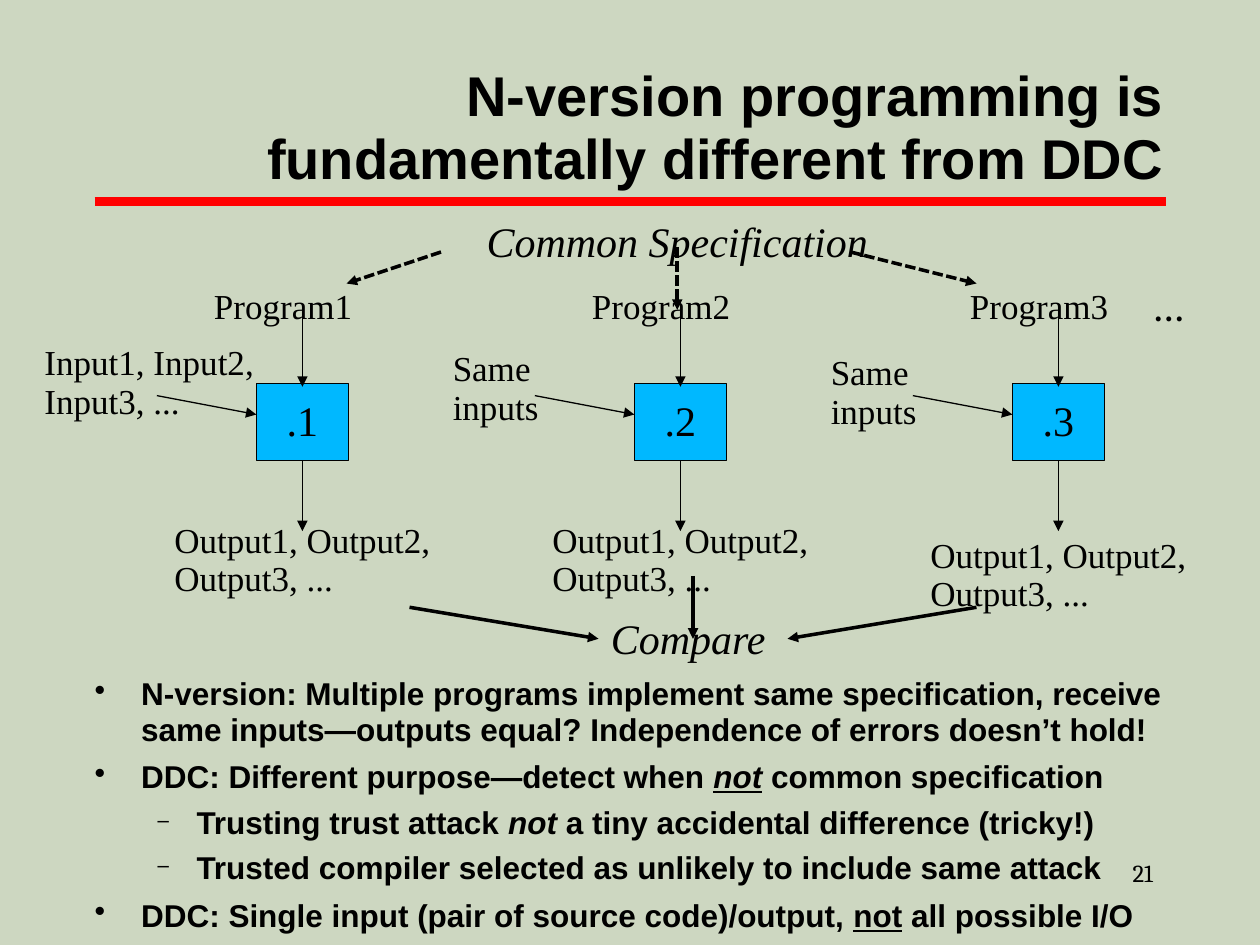
import pptx
import pptx.util
import pptx.dml.color
import pptx.enum.dml
import pptx.enum.shapes
import pptx.enum.text
import pptx.oxml.ns
from lxml import etree

COLORS = {"bg": "CDD7C1", "rule": "FF0000", "box": "00B8FF", "ink": "000000"}
SERIF, SANS = "Times New Roman", "Arial"
ALIGN = pptx.enum.text.PP_ALIGN
ANCHOR = pptx.enum.text.MSO_ANCHOR
DASH = pptx.enum.dml.MSO_LINE.SQUARE_DOT
CELL = 0.25      # grid of 40 columns by 30 rows, in inches
PITCH = 12       # columns from one program to the next
INSET = (0.4, 0.2)


def grid(n):
    return pptx.util.Inches(n * CELL)


def rgb(name):
    return pptx.dml.color.RGBColor.from_string(COLORS[name])


def sub(parent, tag, **attrs):
    return etree.SubElement(parent, pptx.oxml.ns.qn(tag), attrs)


def style(p, size, font=SERIF, align=ALIGN.LEFT, spacing=0.92, bold=False, italic=False):
    p.alignment, p.line_spacing = align, spacing
    f = p.font
    f.name, f.size, f.bold, f.italic = font, pptx.util.Pt(size), bold, italic
    f.color.rgb = rgb("ink")


def frame(tf, inset=(0, 0), anchor=ANCHOR.TOP, wrap=True):
    tf.margin_left = tf.margin_right = grid(inset[0])
    tf.margin_top = tf.margin_bottom = grid(inset[1])
    tf.vertical_anchor, tf.word_wrap = anchor, wrap


def label(s, box, lines, size=20, inset=INSET, anchor=ANCHOR.TOP, wrap=True, **kw):
    sp = s.shapes.add_textbox(*map(grid, box))
    tf = sp.text_frame
    frame(tf, inset, anchor, wrap)
    tf.text = lines
    for p in tf.paragraphs:
        style(p, size, **kw)
    return sp


def line(s, start, end, width=0.75, color="ink", dash=None, arrow=True):
    c = s.shapes.add_connector(pptx.enum.shapes.MSO_CONNECTOR.STRAIGHT,
                               *map(grid, (*start, *end)))
    c.line.color.rgb = rgb(color)
    c.line.width = pptx.util.Pt(width)
    if dash:
        c.line.dash_style = dash
    if arrow:
        sub(c.line._get_or_add_ln(), "a:tailEnd", type="triangle")
    sub(c._element.spPr, "a:effectLst")


def header(s, box):
    x, y, w, h = box
    label(s, (x + 0.32, y, w - 0.36, h),
          "N-version programming is fundamentally different from DDC", 32,
          inset=(0, 0), anchor=ANCHOR.MIDDLE, font=SANS, align=ALIGN.RIGHT,
          spacing=0.93, bold=True)
    line(s, (x, 6.4), (x + w, 6.4), 5, "rule", arrow=False)


def program(s, box, number, inputs, input_box, output_row):
    x, y, w, h = box
    top = y + 3.2
    # Executable
    sp = s.shapes.add_shape(pptx.enum.shapes.MSO_SHAPE.RECTANGLE,
                            *map(grid, (x, top, w, h)))
    sp.shadow.inherit = False
    sp.fill.solid()
    sp.fill.fore_color.rgb = rgb("box")
    sp.line.color.rgb = rgb("ink")
    sp.line.width = pptx.util.Pt(0.75)
    frame(sp.text_frame, anchor=ANCHOR.MIDDLE)
    p = sp.text_frame.paragraphs[0]
    p.text = f".{number}"
    style(p, 24, align=ALIGN.CENTER, spacing=0.93)
    # Arrows out, in from the program, in from the inputs
    mid = x + w / 2
    line(s, (mid, top + h), (mid, y + 7.88))
    line(s, (mid, y + 1.08), (mid, top + 0.1))
    line(s, (x - 3.16, top + 0.38), (x, top + 0.98))
    # Labels
    dx, dy, width = input_box
    label(s, (x + dx, y + dy, width, 2.84), inputs, wrap=False)
    label(s, (x - 1.74, y, 6.56, 2.04), f"Program{number}")
    label(s, (x - 3, y + output_row, 10, 2.84), "Output1, Output2,\nOutput3, ...")


def specification(s, box):
    x, y, w, h = box
    label(s, box, "Common Specification", 24, align=ALIGN.CENTER, italic=True)
    for start, end in [((x, 8), (x - 3, 9)),
                       ((x + w - 2, 8), (x + w + 2, 9)),
                       ((x + w / 2, 7.84), (x + w / 2, 9.84))]:
        line(s, start, end, 0, dash=DASH)


def comparison(s, box):
    x, y, w, h = box
    label(s, box, "Compare", 24, wrap=False, italic=True)
    for start, end in [((x - 6, 19.28), (x, 20.28)),
                       ((x + 3, 18.28), (x + 3, 20.28)),
                       ((x + 12, 19.28), (x + 6, 20.28))]:
        line(s, start, end, 0)


def bullets(s, box, items):
    tf = s.shapes.add_textbox(*map(grid, box)).text_frame
    frame(tf)
    for i, (level, parts) in enumerate(items):
        p = tf.paragraphs[0] if i == 0 else tf.add_paragraph()
        p.level = level
        indent, hang, char, size, before = [(0.37, 0.37, "•", "100000", 7),
                                            (0.81, 0.31, "–", "65000", 6)][level]
        pPr = p._p.get_or_add_pPr()
        pPr.set("marL", str(pptx.util.Inches(indent)))
        pPr.set("indent", str(-pptx.util.Inches(hang)))
        sub(sub(pPr, "a:buClr"), "a:srgbClr", val=COLORS["ink"])
        sub(pPr, "a:buSzPct", val=size)
        sub(pPr, "a:buChar", char=char)
        if i:
            p.space_before = pptx.util.Pt(before)
        style(p, 18, SANS, spacing=0.93, bold=True)
        for text, marks in parts:
            r = p.add_run()
            r.text = text
            if "i" in marks:
                r.font.italic = True
            if "u" in marks:
                r.font.underline = True


def main():
    prs = pptx.Presentation()
    prs.slide_width, prs.slide_height = grid(40), grid(30)
    s = prs.slides.add_slide(prs.slide_layouts[6])
    s.background.fill.solid()
    s.background.fill.fore_color.rgb = rgb("bg")

    header(s, (3, 2.12, 34, 3.96))
    label(s, (30.32, 27.32, 6.68, 1.04), "21", 14, font="Cambria",
          align=ALIGN.RIGHT, spacing=0.67)

    # Inputs with their offset and width, and the row of the outputs
    programs = [("Input1, Input2,\nInput3, ...", (-7.12, 1.76, 7.48), 7.4),
                ("Same\ninputs", (-6.16, 1.96, 3.52), 7.4),
                ("Same\ninputs", (-6.16, 2.08, 3.52), 7.88)]
    for i, parts in enumerate(programs):
        program(s, (8.14 + i * PITCH, 8.98, 2.92, 2.44), i + 1, *parts)
    label(s, (36.2, 9.28, 1.8, 2.16), "...", 24).rotation = 180

    specification(s, (14, 6.8, 15, 2.04))
    comparison(s, (19, 19.4, 5.76, 1.88))
    bullets(s, (3, 21.52, 33.96, 8.16), [
        (0, [("N-version: Multiple programs implement same specification, receive "
              "same inputs—outputs equal? Independence of errors doesn’t hold!", "")]),
        (0, [("DDC: Different purpose—detect when ", ""), ("not", "iu"),
             (" common specification", "")]),
        (1, [("Trusting trust attack ", ""), ("not", "i"),
             (" a tiny accidental difference (tricky!)", "")]),
        (1, [("Trusted compiler selected as unlikely to include same attack", "")]),
        (0, [("DDC: Single input (pair of source code)/output, ", ""), ("not", "u"),
             (" all possible I/O", "")]),
    ])
    prs.save("out.pptx")


if __name__ == "__main__":
    main()
